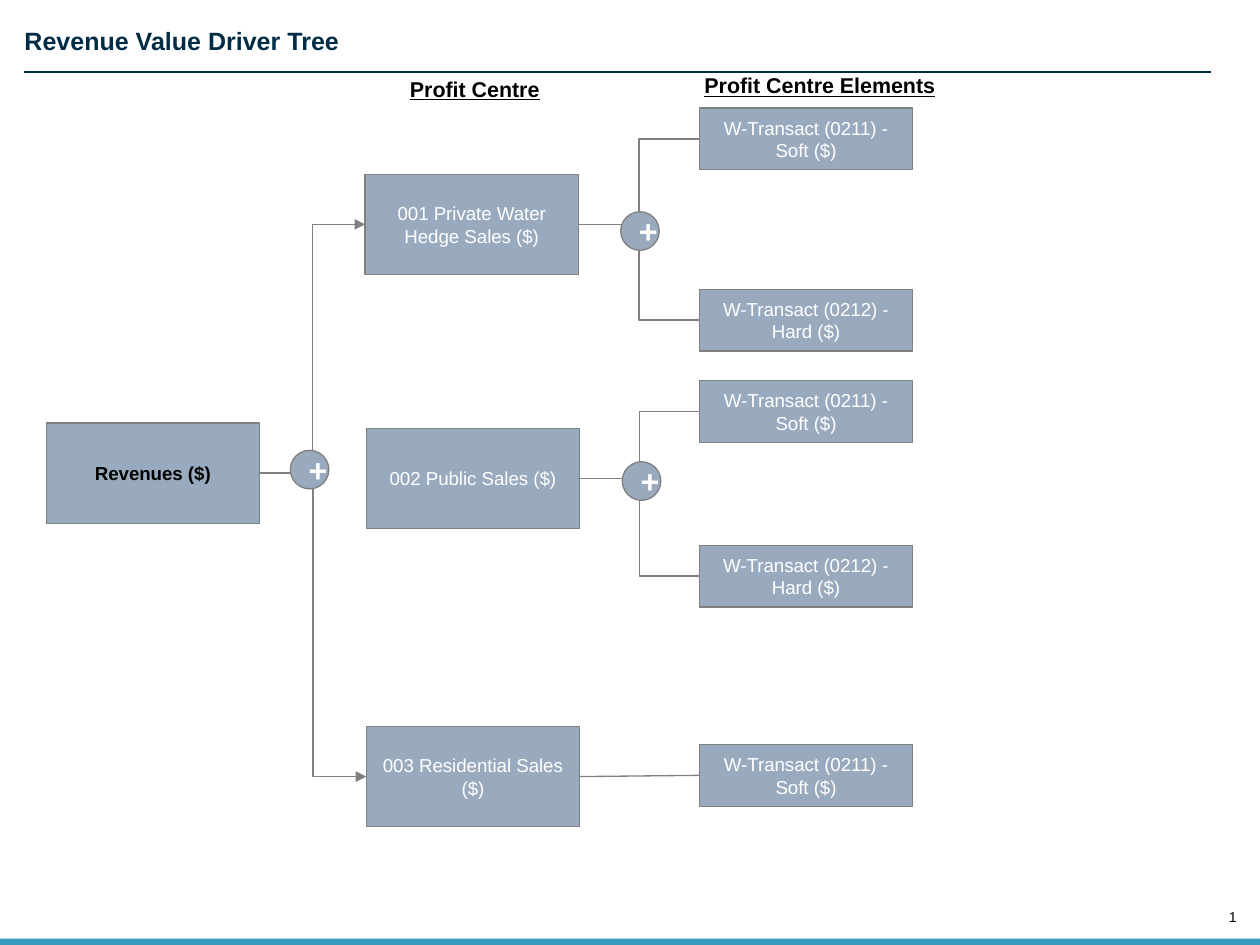
from lxml import etree
from pptx import Presentation
from pptx.dml.color import RGBColor
from pptx.enum.shapes import MSO_CONNECTOR as Connector, MSO_SHAPE as Shape
from pptx.enum.text import MSO_ANCHOR as Anchor, PP_ALIGN as Align
from pptx.oxml.ns import qn
from pptx.util import Pt

NAVY = RGBColor(0x00, 0x2C, 0x46)
TEAL = RGBColor(0x37, 0x9B, 0xBD)
STEEL = RGBColor(0x99, 0xAA, 0xBE)
GREY = RGBColor(0x80, 0x80, 0x80)
BLACK = RGBColor(0, 0, 0)
WHITE = RGBColor(0xFF, 0xFF, 0xFF)

FONT = "Arial"
LINE_WIDTH = 0.75
BOX_WIDTH = 119.5
CENTRE_HEIGHT = 56.2
ELEMENT_HEIGHT = 34.6
ELEMENT_LEFT = 391.7
PLUS_SIZE = 21.6
LEFT_SITE, RIGHT_SITE = 1, 3

SOFT = "W-Transact (0211) - Soft ($)"
HARD = "W-Transact (0212) - Hard ($)"

# Profit centre: name, left, top, arrow from revenues, [(element, top)]
PROFIT_CENTRES = [
    ("001 Private Water Hedge Sales ($)", 204.5, 97.6, True,
     [(SOFT, 60.5), (HARD, 162)]),
    ("002 Public Sales ($)", 205.2, 239.8, False,
     [(SOFT, 213.1), (HARD, 305.3)]),
    ("003 Residential Sales ($)", 205.2, 406.8, True,
     [(SOFT, 416.9)]),
]
PLUS_SIGNS = [(162.6, 252.2), (347.6, 118.6), (348.5, 258.6)]


def add_run(shape, text, size, color, bold=False, underline=False,
            align=Align.LEFT):
    para = shape.text_frame.paragraphs[0]
    para.alignment = align
    span = para.add_run()
    span.text = text
    font = span.font
    font.name, font.size = FONT, Pt(size)
    font.bold, font.underline = bold, underline
    font.color.rgb = color


def add_label(page, area, text, size, color, inset=True, wrap=True,
              anchor=Anchor.TOP, **style):
    box = page.shapes.add_textbox(*map(Pt, area))
    frame = box.text_frame
    frame.word_wrap = wrap
    frame.vertical_anchor = anchor
    if not inset:
        frame.margin_left = frame.margin_right = 0
        frame.margin_top = frame.margin_bottom = 0
    add_run(box, text, size, color, **style)


def add_filled(page, kind, area, fill, outline=None):
    shape = page.shapes.add_shape(kind, *map(Pt, area))
    shape.shadow.inherit = False
    shape.fill.solid()
    shape.fill.fore_color.rgb = fill
    if outline is None:
        shape.line.fill.background()
    else:
        shape.line.color.rgb = outline
        shape.line.width = Pt(LINE_WIDTH)
    return shape


def add_node(page, area, text, size=10.5, color=WHITE, bold=False,
             kind=Shape.RECTANGLE):
    node = add_filled(page, kind, area, STEEL, GREY)
    node.text_frame.vertical_anchor = Anchor.MIDDLE
    add_run(node, text, size, color, bold, align=Align.CENTER)
    return node


def add_line(page, kind, color, points=(0, 0, 0, 0), arrow=False):
    line = page.shapes.add_connector(kind, *map(Pt, points))
    line.line.color.rgb = color
    line.line.width = Pt(LINE_WIDTH)
    if arrow:
        etree.SubElement(line.line._get_or_add_ln(), qn("a:tailEnd"),
                         type="triangle")
    etree.SubElement(line._element.spPr, qn("a:effectLst"))
    return line


def join(page, parent, child, kind=Connector.ELBOW, arrow=False):
    line = add_line(page, kind, GREY, arrow=arrow)
    line.begin_connect(parent, RIGHT_SITE)
    line.end_connect(child, LEFT_SITE)


def add_frame(page):
    add_filled(page, Shape.RECTANGLE, (0, 525.6, 705.6, 3.6), TEAL)
    add_label(page, (682.6, 509, 10, 9.4), "1", 8, BLACK, inset=False,
              wrap=False, anchor=Anchor.BOTTOM, align=Align.RIGHT)
    add_label(page, (13.7, 14.4, 688, 17.3), "Revenue Value Driver Tree",
              14, NAVY, inset=False, bold=True)
    add_line(page, Connector.STRAIGHT, NAVY, (13.7, 40.3, 678.2, 40.3))


def add_tree(page):
    revenues = add_node(page, (25.9, 236.9, BOX_WIDTH, CENTRE_HEIGHT),
                        "Revenues ($)", color=BLACK, bold=True)
    for name, left, top, from_revenues, elements in PROFIT_CENTRES:
        centre = add_node(page, (left, top, BOX_WIDTH, CENTRE_HEIGHT), name)
        if from_revenues:
            join(page, revenues, centre, arrow=True)
        kind = Connector.ELBOW if len(elements) > 1 else Connector.STRAIGHT
        for element, element_top in elements:
            area = (ELEMENT_LEFT, element_top, BOX_WIDTH, ELEMENT_HEIGHT)
            join(page, centre, add_node(page, area, element), kind)
    for left, top in PLUS_SIGNS:
        add_node(page, (left, top, PLUS_SIZE, PLUS_SIZE), "+", 18,
                 bold=True, kind=Shape.OVAL)


def main():
    deck = Presentation()
    deck.slide_width, deck.slide_height = Pt(705.6), Pt(529.2)
    page = deck.slides.add_slide(deck.slide_layouts[6])

    # Title, rule, footer bar and page number
    add_frame(page)

    # Column headings
    for text, area in [("Profit Centre", (222.5, 38.9, 141, 21.6)),
                       ("Profit Centre Elements", (387.4, 37.1, 157.7, 21.6))]:
        add_label(page, area, text, 12, BLACK, bold=True, underline=True)

    # Driver tree
    add_tree(page)
    deck.save("out.pptx")


main()
